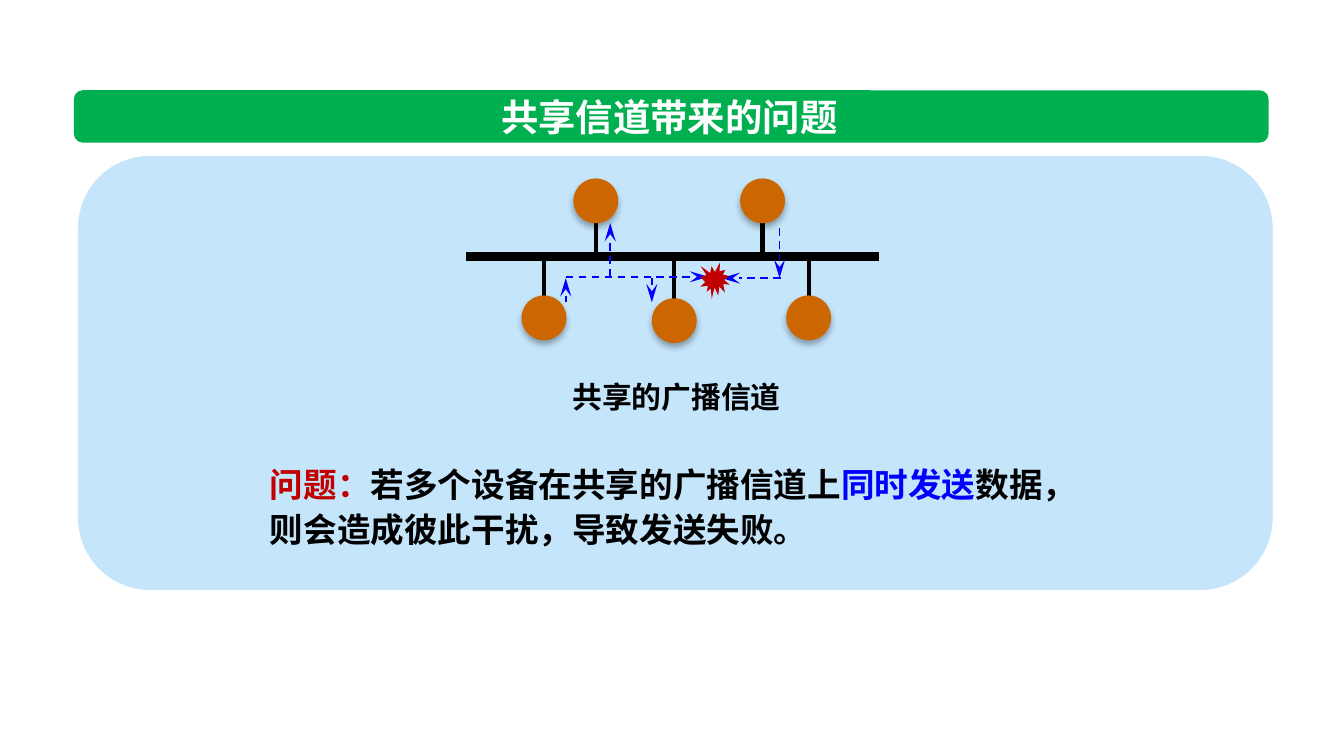
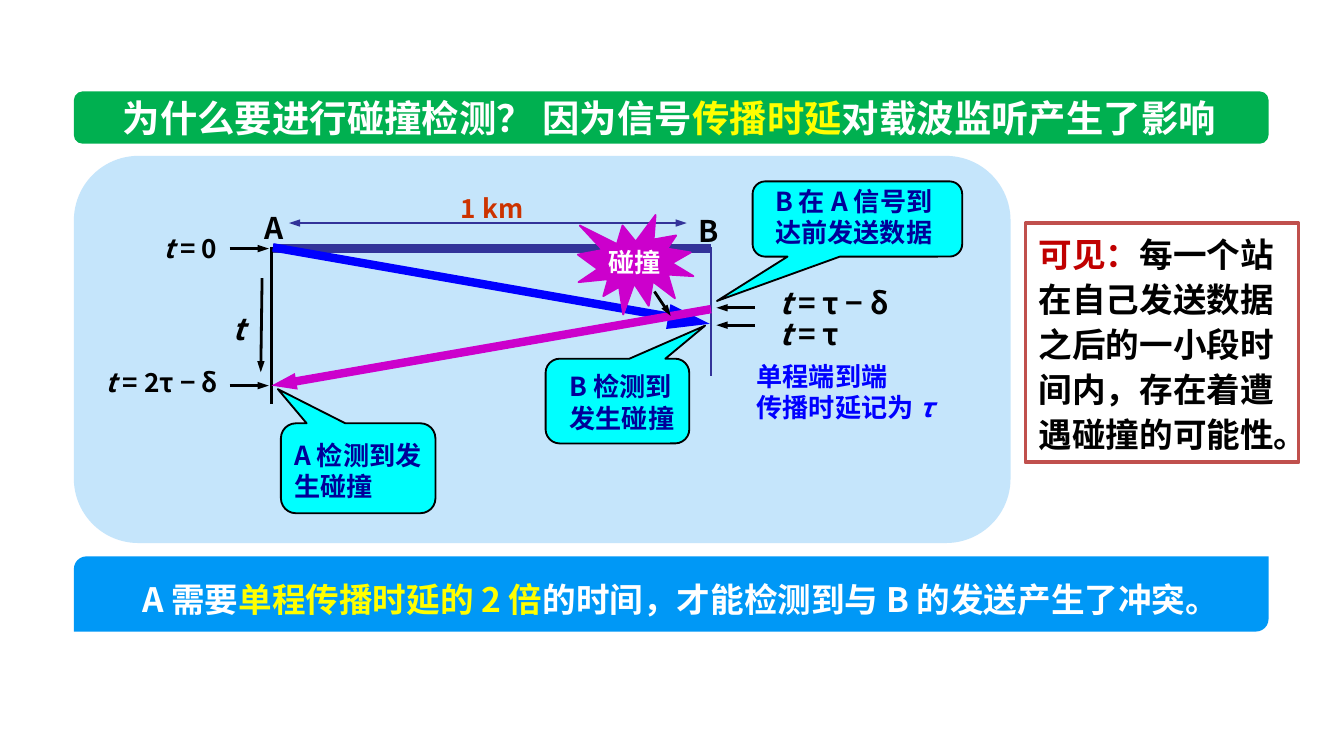
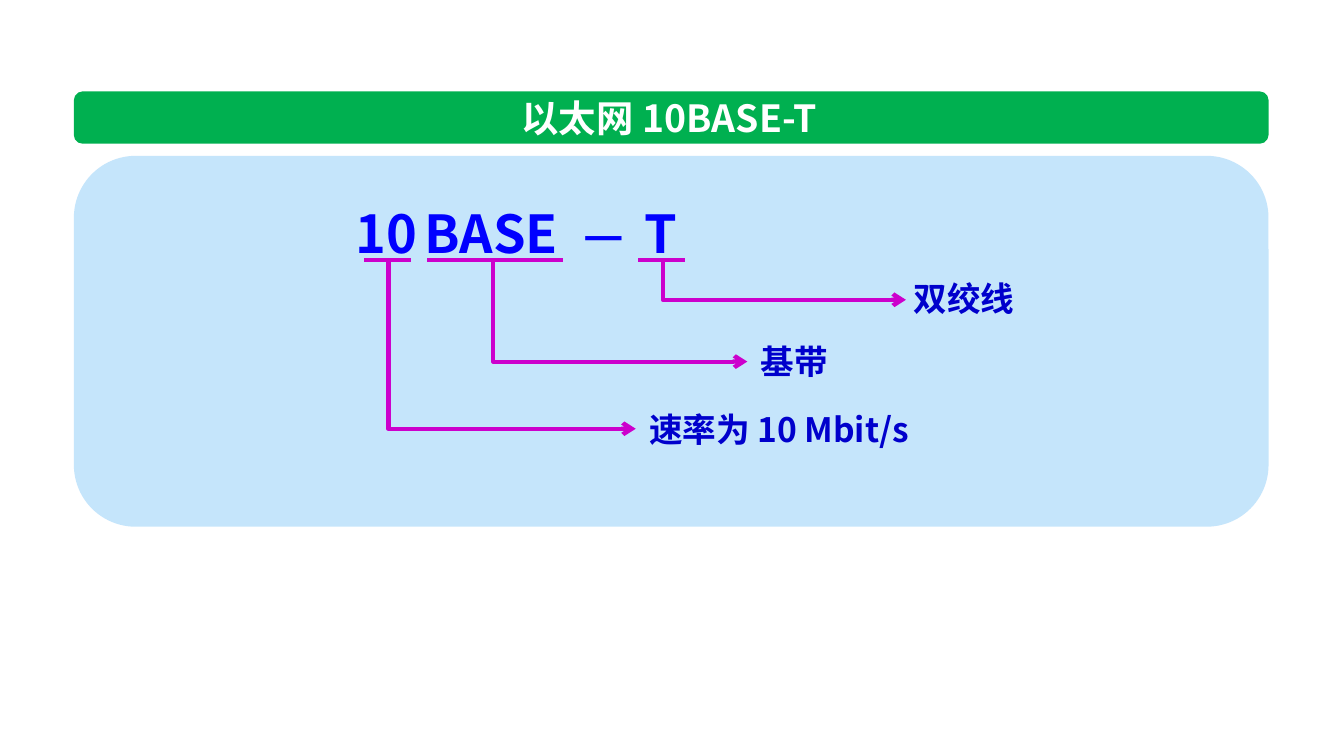
"""Build three slides on shared channels, collision detection and 10BASE-T."""
from dataclasses import dataclass
from typing import NamedTuple

from lxml import etree
from pptx import Presentation
from pptx.dml.color import RGBColor
from pptx.enum.dml import MSO_LINE
from pptx.enum.shapes import MSO_CONNECTOR, MSO_SHAPE
from pptx.enum.text import MSO_ANCHOR, MSO_AUTO_SIZE, PP_ALIGN
from pptx.oxml.ns import qn
from pptx.util import Pt

STRAIGHT, ELBOW = MSO_CONNECTOR.STRAIGHT, MSO_CONNECTOR.ELBOW
ROUNDED, DIAGONAL = MSO_SHAPE.ROUNDED_RECTANGLE, MSO_SHAPE.ROUND_2_DIAG_RECTANGLE
OVAL, RECT, BURST = MSO_SHAPE.OVAL, MSO_SHAPE.RECTANGLE, MSO_SHAPE.EXPLOSION1
CALLOUT = MSO_SHAPE.ROUNDED_RECTANGULAR_CALLOUT
LEFT, CENTER = PP_ALIGN.LEFT, PP_ALIGN.CENTER
TOP, MIDDLE = MSO_ANCHOR.TOP, MSO_ANCHOR.MIDDLE


@dataclass(frozen=True)
class Theme:
    """Colours, font and type sizes used by every slide."""
    font: str = "Noto Sans CJK SC"
    black: str = "000000"
    white: str = "FFFFFF"
    green: str = "00B050"
    panel: str = "C5E5FB"
    footer: str = "0098F6"
    blue: str = "0000FF"
    navy: str = "000099"
    indigo: str = "333399"
    meaning: str = "0000CC"
    red: str = "C00000"
    frame: str = "C0504D"
    rust: str = "CC3300"
    orange: str = "CC6600"
    yellow: str = "FFFF00"
    cyan: str = "00FFFF"
    magenta: str = "CC00CC"
    small: int = 14
    label: int = 16
    body: int = 18
    title: int = 20
    dash: int = 24
    display: int = 28


T = Theme()


class Box(NamedTuple):
    """Left, top, width and height in points."""
    x: float
    y: float
    w: float
    h: float


class Run(NamedTuple):
    """A stretch of text that may leave the paragraph's colour or slant."""
    text: str
    color: str | None = None
    italic: bool = False


@dataclass
class Para:
    """A bold paragraph."""
    runs: list[Run]
    size: int = T.small
    color: str = T.black
    align: PP_ALIGN = LEFT
    spacing: float | None = None
    before: float | None = None


@dataclass
class Line:
    """A straight line from one point to another, perhaps with arrowheads."""
    x1: float
    y1: float
    x2: float
    y2: float
    color: str = T.black
    width: float = 1.5
    head: str | None = None
    tail: str | None = None
    arrow_size: tuple[str, str] = ("sm", "med")
    dashed: bool = False


@dataclass
class Station:
    """A round device and the stem that joins it to the bus."""
    cx: float
    top: float
    stem_top: float
    stem_bottom: float


@dataclass
class Bubble:
    """A callout with its pointer offsets and the text box over it."""
    box: Box
    pointer: tuple[float, float]
    text: str
    text_box: Box


@dataclass
class NamePart:
    """A part of the standard's name, its underline and its meaning."""
    text: str
    box: Box
    underline: tuple[float, float]
    drop_x: float
    arrow_x: float
    arrow_y: float
    meaning: str
    meaning_box: Box


def rgb(color: str) -> RGBColor:
    """Turn a hex string into a colour."""
    return RGBColor.from_string(color)


def lengths(*values: float) -> list[Pt]:
    """Turn numbers into point lengths."""
    return [Pt(v) for v in values]


def write(tf, paras: list[Para]) -> None:
    """Fill a text frame with paragraphs."""
    for i, para in enumerate(paras):
        p = tf.paragraphs[0] if i == 0 else tf.add_paragraph()
        p.alignment = para.align
        if para.spacing:
            p.line_spacing = Pt(para.spacing)
        if para.before:
            p.space_before = Pt(para.before)
        font = p.font
        font.size, font.bold = Pt(para.size), True
        font.color.rgb = rgb(para.color)
        font.name = T.font
        latin = font._element.find(qn("a:latin"))
        latin.addnext(latin.makeelement(qn("a:ea"), {"typeface": T.font}))
        for run in para.runs:
            r = p.add_run()
            r.text = run.text
            if run.color:
                r.font.color.rgb = rgb(run.color)
            if run.italic:
                r.font.italic = True


def add_text(s, box: Box, paras: list[Para], wrap: bool = False) -> None:
    """Add a text box that grows with its text."""
    tf = s.shapes.add_textbox(*lengths(*box)).text_frame
    tf.word_wrap = wrap
    tf.auto_size = MSO_AUTO_SIZE.SHAPE_TO_FIT_TEXT
    write(tf, paras)


def add_label(s, box: Box, text: str, size: int, color: str = T.black,
              italic: bool = False) -> None:
    """Add a single line of text."""
    add_text(s, box, [Para([Run(text, italic=italic)], size, color)])


def add_box(s, kind: MSO_SHAPE, box: Box, fill: str,
            line: str | None = None, width: float = 1):
    """Add a filled preset shape without a shadow."""
    sp = s.shapes.add_shape(kind, *lengths(*box))
    sp.shadow.inherit = False
    sp.fill.solid()
    sp.fill.fore_color.rgb = rgb(fill)
    if line:
        sp.line.color.rgb = rgb(line)
        sp.line.width = Pt(width)
    else:
        sp.line.fill.background()
    return sp


def style_connector(c, color: str, width: float):
    """Set a connector's colour and width, drop its shadow, return its line."""
    c.line.color.rgb = rgb(color)
    c.line.width = Pt(width)
    etree.SubElement(c._element.spPr, qn("a:effectLst"))
    return c.line._get_or_add_ln()


def add_end(ln, end: str, kind: str, size: tuple[str, str]) -> None:
    """Add an arrowhead to a line."""
    etree.SubElement(ln, qn(f"a:{end}End"), type=kind, w=size[0], len=size[1])


def add_line(s, line: Line) -> None:
    """Draw a straight line."""
    c = s.shapes.add_connector(STRAIGHT, *lengths(line.x1, line.y1, line.x2, line.y2))
    ln = style_connector(c, line.color, line.width)
    if line.dashed:
        c.line.dash_style = MSO_LINE.DASH
    if line.head:
        add_end(ln, "head", line.head, line.arrow_size)
    if line.tail:
        add_end(ln, "tail", line.tail, line.arrow_size)


def add_elbow(s, x1: float, y1: float, x2: float, y2: float, color: str) -> None:
    """Draw an arrow that goes down and then right."""
    cx, cy, dx, dy = (x1 + x2) / 2, (y1 + y2) / 2, (x2 - x1) / 2, (y2 - y1) / 2
    c = s.shapes.add_connector(ELBOW, *lengths(cx + dy, cy - dx, cx - dy, cy + dx))
    sp_pr = c._element.spPr
    sp_pr.find(qn("a:xfrm")).set("rot", "16200000")
    sp_pr.find(qn("a:prstGeom")).set("prst", "bentConnector2")
    add_end(style_connector(c, color, 2.25), "tail", "arrow", ("med", "med"))


def add_frame(s, runs: list[Run], panel: Box, bar_top: float = 49,
              wrap: bool = False) -> None:
    """Draw the title bar, its text and the panel below."""
    add_box(s, ROUNDED, Box(39.6, bar_top, 640, 28), T.green)
    add_text(s, Box(50.4, bar_top - 1.5, 616.4, 31.7),
             [Para(runs, T.title, T.white, CENTER)], wrap)
    add_box(s, ROUNDED, panel, T.panel)


def add_station(s, station: Station) -> None:
    """Draw a device with a soft shadow."""
    sp = add_box(s, OVAL, Box(station.cx - 12, station.top, 24, 24), T.orange)
    effects = sp._element.spPr.find(qn("a:effectLst"))
    shadow = etree.SubElement(effects, qn("a:outerShdw"), blurRad=str(Pt(3.5)),
                              dist=str(Pt(2.2)), dir="5400000", rotWithShape="0")
    color = etree.SubElement(shadow, qn("a:srgbClr"), val=T.black)
    etree.SubElement(color, qn("a:alpha"), val="32000")


def add_bubble(s, bubble: Bubble) -> None:
    """Draw a callout and its text."""
    sp = add_box(s, CALLOUT, bubble.box, T.cyan, T.black)
    sp.adjustments[0], sp.adjustments[1] = bubble.pointer
    add_text(s, bubble.text_box, [Para([Run(bubble.text)], T.small, T.navy)], True)


def add_name_part(s, part: NamePart) -> None:
    """Draw a part of the name with the arrow to its meaning."""
    add_label(s, part.box, part.text, T.display, T.blue)
    left, right = part.underline
    add_line(s, Line(left, 139.5, right, 139.5, T.magenta, 2.25))
    add_elbow(s, part.drop_x, 139.2, part.arrow_x, part.arrow_y, T.magenta)
    add_label(s, part.meaning_box, part.meaning, T.body, T.meaning)


def shared_channel(s) -> None:
    """Slide 1: senders collide on a broadcast bus."""
    add_frame(s, [Run("共享信道带来的问题")], Box(41.8, 83.5, 640, 232.6), 48.4)
    add_text(s, Box(137.5, 194.4, 450, 104.4), [
        Para([Run("共享的广播信道")], T.label, align=CENTER, spacing=24),
        Para([Run("问题：", T.red), Run("若多个设备在共享的广播信道上"),
              Run("同时发送", T.blue),
              Run("数据，则会造成彼此干扰，导致发送失败。")],
             T.body, spacing=24, before=24)], True)
    add_line(s, Line(249.8, 137.5, 470.9, 137.5, width=4.5))
    stations = [Station(319.2, 95.6, 113.8, 137.5), Station(408.5, 95.6, 113.8, 137.5),
                Station(291.4, 158.3, 138.2, 162.7), Station(361.2, 159.8, 139.7, 164.2),
                Station(433.2, 158.3, 138.2, 162.7)]
    for st in stations:
        add_line(s, Line(st.cx, st.stem_top, st.cx, st.stem_bottom, width=2.25))
    for st in stations:
        add_station(s, st)
    signals = [(418.3, 149, 386.6, 149), (417.6, 122.4, 417.6, 149),
               (303.1, 148.3, 379.4, 148.3), (326.9, 148.3, 326.9, 119.5),
               (349.2, 149, 349.2, 162), (303.1, 162, 303.1, 149)]
    for signal in signals:
        add_line(s, Line(*signal, T.blue, 1, tail="stealth",
                         arrow_size=("med", "lg"), dashed=True))
    add_box(s, BURST, Box(375.1, 140.6, 15.8, 19.4), T.red)


def collision_detection(s) -> None:
    """Slide 2: propagation delay makes collision detection necessary."""
    add_frame(s, [Run("为什么要进行碰撞检测？ 因为信号"), Run("传播时延", T.yellow),
                  Run("对载波监听产生了影响")], Box(39.6, 83.5, 501.8, 207.4), wrap=True)
    arrow = "triangle"
    for line in [
            Line(146.2, 133.2, 380.9, 133.2, T.indigo, 4.5),
            Line(154.8, 119.5, 367.9, 119.5, T.indigo, head=arrow, tail=arrow),
            Line(145.4, 132.5, 145.4, 216.7),
            Line(146.2, 132.5, 380.2, 173.5, T.blue, 4.5, tail=arrow,
                 arrow_size=("med", "lg")),
            Line(140.4, 149, 139.7, 199.4, tail=arrow),
            Line(380.9, 132.5, 380.9, 201.6, T.indigo),
            Line(380.9, 165.6, 145.4, 206.6, T.magenta, 4.5, tail=arrow),
            Line(350.6, 156.2, 359.3, 169.2, tail=arrow),
            Line(123.1, 206.6, 144, 206.6, tail=arrow),
            Line(123.1, 133.2, 144, 133.2, tail=arrow),
            Line(404.6, 164.9, 383.8, 164.9, tail=arrow),
            Line(404.6, 174.2, 383.8, 174.2, tail=arrow)]:
        add_line(s, line)
    tf = add_box(s, BURST, Box(309.6, 115.2, 61.9, 53.3), T.magenta, T.magenta).text_frame
    tf.word_wrap, tf.vertical_anchor = False, MIDDLE
    write(tf, [Para([Run("碰撞")], T.small, T.white, CENTER)])
    for bubble in [
            Bubble(Box(150.5, 226.8, 82.8, 48.2), (-0.52, -0.88),
                   "A 检测到发生碰撞", Box(150.5, 231.8, 92.9, 41)),
            Bubble(Box(403.2, 97.2, 112.3, 40.3), (-0.67, 1.09),
                   "B 在 A 信号到达前发送数据", Box(408.2, 95.8, 103.7, 41)),
            Bubble(Box(292.3, 192.2, 77, 45.4), (0.61, -0.89),
                   "B 检测到发生碰撞", Box(298.1, 195.1, 82.1, 41))]:
        add_bubble(s, bubble)
    add_label(s, Box(239.8, 99.4, 49.7, 23.8), "1 km", T.small, T.rust)
    add_label(s, Box(134.6, 108.7, 26.6, 26.6), "A", T.label)
    add_label(s, Box(367.2, 110.2, 25.2, 26.6), "B", T.label)
    add_label(s, Box(117.4, 162.7, 20.9, 26.6), "t", T.label, italic=True)
    for box, value, size in [
            (Box(49.7, 193, 77, 24.5), " = 2τ − δ", T.small),
            (Box(80.6, 121, 48.2, 24.5), " = 0", T.small),
            (Box(410.4, 149, 82.1, 26.6), " = τ − δ", T.label),
            (Box(410.4, 165.6, 52.6, 26.6), " = τ", T.label)]:
        add_text(s, box, [Para([Run("t", italic=True), Run(value)], size)])
    add_text(s, Box(398.2, 189.4, 115.9, 41), [
        Para([Run("单程端到端")], T.small, T.blue),
        Para([Run("传播时延记为 "), Run("τ", italic=True)], T.small, T.blue)], True)
    add_box(s, DIAGONAL, Box(39.6, 298.1, 640, 40.3), T.footer)
    add_text(s, Box(69.1, 301, 606.2, 34.6), [
        Para([Run("A 需要"), Run("单程传播时延的 2 倍", T.yellow),
              Run("的时间，才能检测到与 B 的发送产生了冲突。")],
             T.body, T.white, spacing=27)], True)
    tf = add_box(s, RECT, Box(549.4, 119.5, 146.2, 128.2), T.white, T.frame, 2).text_frame
    tf.word_wrap, tf.vertical_anchor = True, TOP
    tf.auto_size = MSO_AUTO_SIZE.SHAPE_TO_FIT_TEXT
    write(tf, [Para([Run("可见：", T.red),
                     Run("每一个站在自己发送数据之后的一小段时间内，存在着遭遇碰撞的可能性。")],
                    T.body, spacing=24)])


def ethernet_name(s) -> None:
    """Slide 3: what each part of 10BASE-T means."""
    add_frame(s, [Run("以太网 10BASE-T")], Box(39.6, 83.5, 640, 198.7))
    for part in [
            NamePart("10", Box(183.6, 104.4, 49.7, 41), (195.1, 220.3),
                     208.1, 340.6, 229.7, "速率为 10 Mbit/s", Box(340.6, 215.3, 169.2, 28.8)),
            NamePart("BASE", Box(220.3, 104.4, 88.6, 41), (229, 301.7),
                     264.2, 400.3, 193.7, "基带", Box(400.3, 179.3, 51.1, 28.8)),
            NamePart("T", Box(338.4, 104.4, 32.4, 41), (342, 367.2),
                     355, 485.3, 160.6, "双绞线", Box(482.4, 145.4, 69.1, 28.8))]:
        add_name_part(s, part)
    add_text(s, Box(305.3, 107.3, 27.4, 36), [Para([Run("—")], T.dash, T.blue)], True)


def main() -> None:
    """Build and save the slides."""
    prs = Presentation()
    prs.slide_width, prs.slide_height = lengths(720, 405)
    for build in (shared_channel, collision_detection, ethernet_name):
        build(prs.slides.add_slide(prs.slide_layouts[6]))
    prs.save("out.pptx")


if __name__ == "__main__":
    main()
